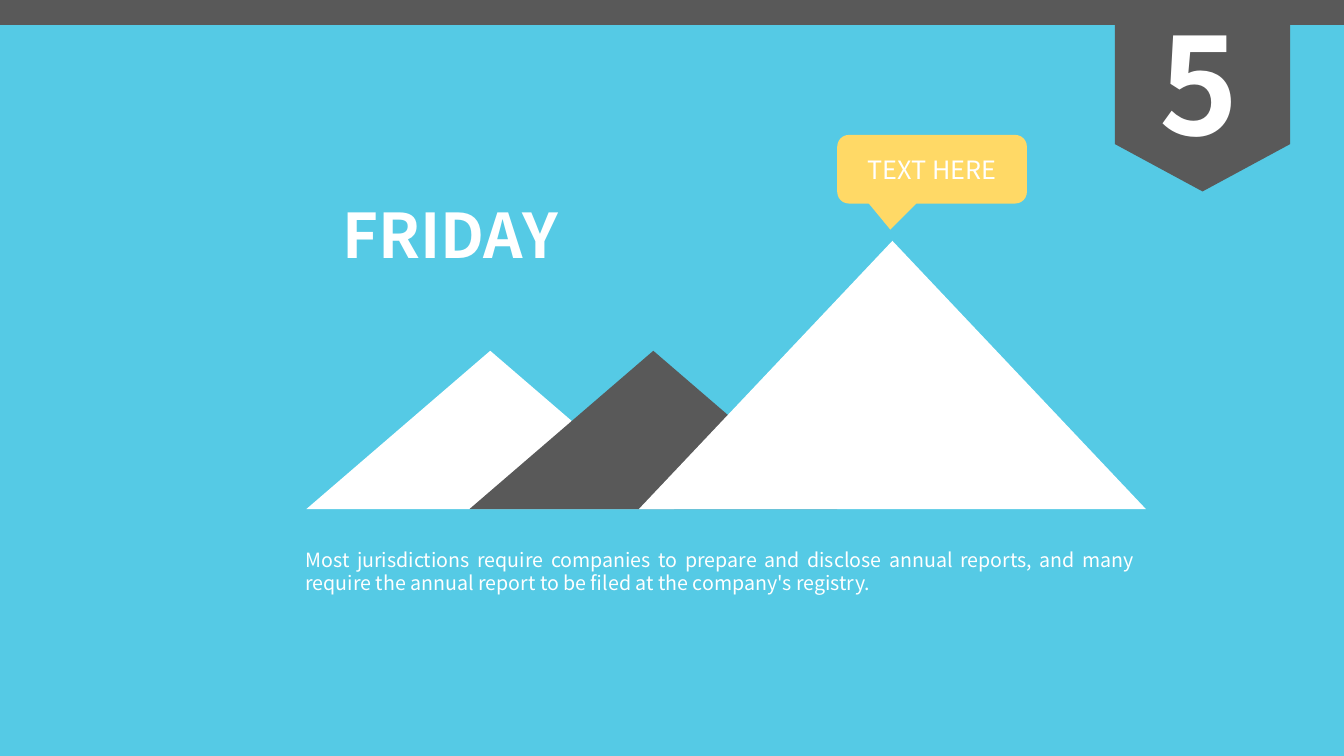
from pptx import Presentation
from pptx import util as u
from pptx.dml import color
from pptx.enum import shapes, text

FACE = "Noto Sans CJK SC"
WHITE, GREY, BLUE, GOLD = "FFFFFF", "595959", "55CAE5", "FFD966"
KIND = shapes.MSO_SHAPE
ALIGN = text.PP_ALIGN
BASE = 12.83


def paint(fill, tone):
    fill.solid()
    fill.fore_color.rgb = color.RGBColor.from_string(tone)


def form(slide, kind, box, tone, turn=0, bends=()):
    shape = slide.shapes.add_shape(kind, *map(u.Cm, box))
    paint(shape.fill, tone)
    shape.line.fill.background()
    shape.shadow.inherit = False
    shape.rotation = turn
    for spot, bend in enumerate(bends):
        shape.adjustments[spot] = bend
    return shape


def write(shape, words, size, align=ALIGN.LEFT, bold=False):
    line = shape.text_frame.paragraphs[0]
    line.text = words
    line.alignment = align
    style = {"name": FACE, "size": u.Pt(size), "bold": bold}
    for key, value in style.items():
        setattr(line.font, key, value)
    paint(line.font.fill, WHITE)


def label(slide, words, box, size, wrap=False, **style):
    shape = slide.shapes.add_textbox(*map(u.Cm, box))
    frame = shape.text_frame
    frame.word_wrap = wrap
    frame.auto_size = text.MSO_AUTO_SIZE.SHAPE_TO_FIT_TEXT
    write(shape, words, size, **style)


def peak(slide, left, width, height, tone):
    box = (left, BASE - height, width, height)
    form(slide, KIND.ISOSCELES_TRIANGLE, box, tone)


def main():
    deck = Presentation()
    deck.slide_width, deck.slide_height = u.Cm(33.87), u.Cm(19.05)
    slide = deck.slides.add_slide(deck.slide_layouts[6])
    paint(slide.background.fill, BLUE)

    peak(slide, 7.72, 9.27, 3.99, WHITE)
    peak(slide, 11.83, 9.27, 3.99, GREY)
    peak(slide, 16.1, 12.78, 6.76, WHITE)
    form(slide, KIND.RECTANGLE, (0, -0.1, 33.87, 0.73), GREY)

    label(slide, "Most jurisdictions require companies to prepare and disclose "
          "annual reports, and many require the annual report to be filed "
          "at the company's registry.",
          (7.45, 13.67, 21.4, 1.45), 14, wrap=True, align=ALIGN.JUSTIFY)
    label(slide, "FRIDAY", (8.38, 4.83, 6.3, 2.13), 44, bold=True)

    note = form(slide, KIND.ROUNDED_RECTANGULAR_CALLOUT,
                (21.1, 3.4, 4.78, 1.73), GOLD, bends=(-0.22, 0.88, 0.17))
    note.text_frame.vertical_anchor = text.MSO_ANCHOR.MIDDLE
    write(note, "TEXT HERE", 18, align=ALIGN.CENTER)

    form(slide, KIND.PENTAGON, (27.89, 0.2, 4.83, 4.42), GREY,
         turn=90, bends=(0.27,))
    label(slide, "5", (28.98, -0.1, 2.62, 4.37), 96, bold=True)

    deck.save("out.pptx")


if __name__ == "__main__":
    main()
